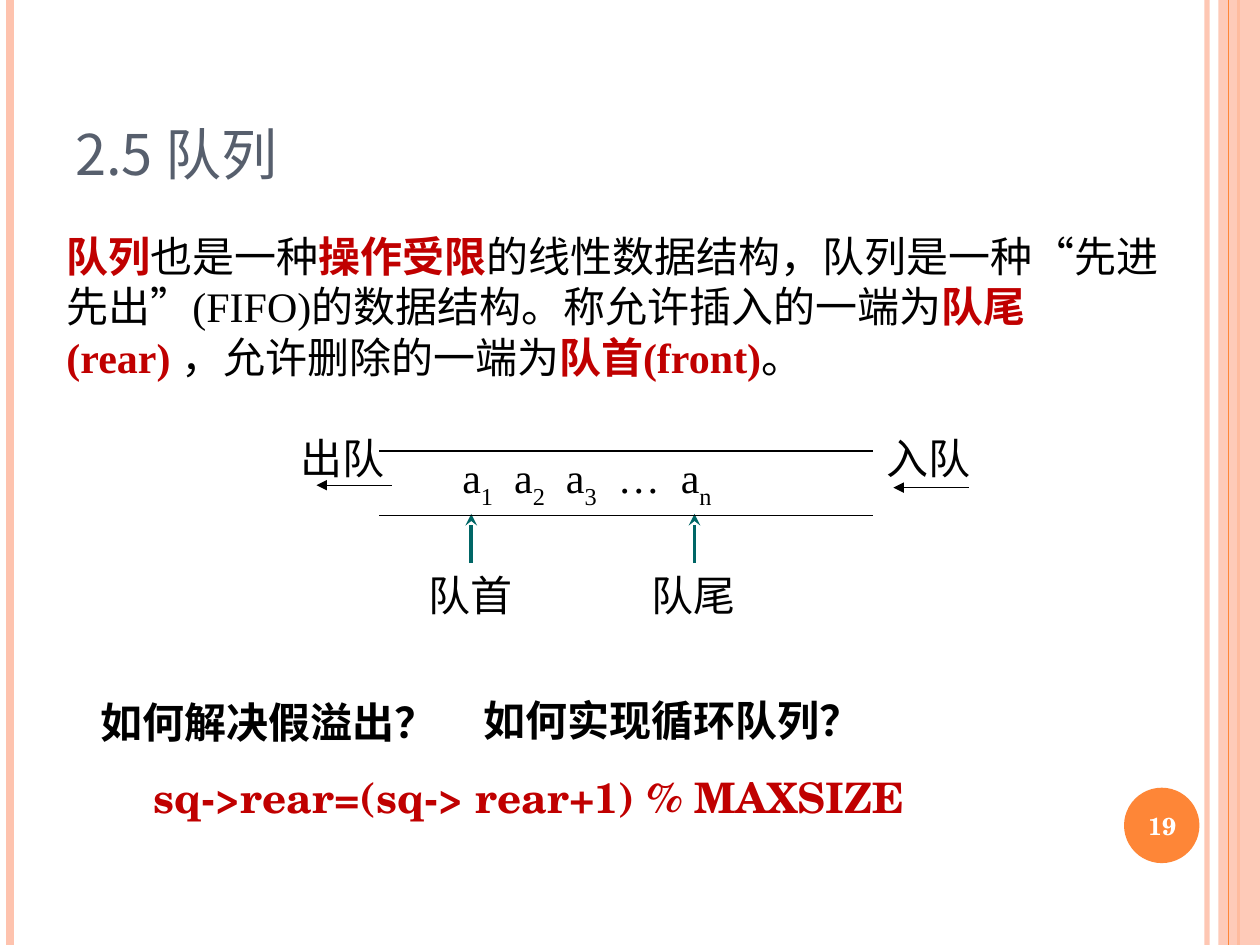
import pptx
import pptx.dml.color
import pptx.enum.shapes
import pptx.enum.text
import pptx.oxml
import pptx.oxml.ns
import pptx.util
from lxml import etree

Cm = pptx.util.Cm
Pt = pptx.util.Pt
qn = pptx.oxml.ns.qn
ANCHOR = pptx.enum.text.MSO_ANCHOR
SHAPE = pptx.enum.shapes.MSO_SHAPE

COLORS = {"peach": "FEC3AE", "orange": "FE8637", "slate": "575F6D",
          "white": "FFFFFF", "black": "000000", "red": "C00000", "teal": "006666"}
SANS, SERIF, SCHOLA = "Noto Sans CJK SC", "Times New Roman", "TeX Gyre Schola"
WIDTH, HEIGHT = 25.4, 19.05


def rgb(name):
    return pptx.dml.color.RGBColor.from_string(COLORS[name])


def set_alpha(part, percent):
    for color in part.iter(qn("a:srgbClr")):
        etree.SubElement(color, qn("a:alpha")).set("val", str(percent * 1000))


def add_line(page, start, end, color="black", width=0.75, arrow=None, alpha=None):
    line = page.shapes.add_connector(pptx.enum.shapes.MSO_CONNECTOR.STRAIGHT,
                                     *map(Cm, start + end))
    line.line.color.rgb = rgb(color)
    line.line.width = Pt(width)
    properties = line._element.spPr
    if alpha:
        set_alpha(properties, alpha)
    if arrow:
        etree.SubElement(line.line._get_or_add_ln(), qn("a:tailEnd")).set("type", arrow)
    etree.SubElement(properties, qn("a:effectLst"))


def add_block(page, kind, box, color, alpha=None):
    block = page.shapes.add_shape(kind, *map(Cm, box))
    block.shadow.inherit = False
    block.fill.solid()
    block.fill.fore_color.rgb = rgb(color)
    block.line.fill.background()
    if alpha:
        set_alpha(block._element.spPr, alpha)


def add_text(page, box, spans, font=SERIF, size=24, color="black", bold=False,
             anchor=ANCHOR.TOP, align=None, wrap=True):
    """Spans are (text, changed formats) pairs; baseline and cap are run attributes."""
    frame = page.shapes.add_textbox(*map(Cm, box)).text_frame
    for name, value in {"word_wrap": wrap, "vertical_anchor": anchor}.items():
        setattr(frame, name, value)
    para = frame.paragraphs[0]
    para.alignment = align
    for text, changes in spans:
        span = para.add_run()
        span.text = text
        formats = {"name": font, "size": Pt(size), "bold": changes.get("bold", bold)}
        for name, value in formats.items():
            setattr(span.font, name, value)
        span.font.color.rgb = rgb(changes.get("color", color))
        properties = span._r.get_or_add_rPr()
        etree.SubElement(properties, qn("a:ea")).set("typeface", SANS)
        for name in ("baseline", "cap"):
            if name in changes:
                properties.set(name, changes[name])


def add_frame(page, left, top, width, height):
    # Vertical rules and the band on the right
    def rule(x, color, weight, alpha=None):
        add_line(page, (left + x, top), (left + x, top + height), color, weight, alpha=alpha)

    rule(width - 1.07, "peach", 3, 93)
    rule(0.2, "peach", 4.5)
    rule(width - 0.43, "orange", 1.5)
    add_block(page, SHAPE.RECTANGLE, (left + width - 0.84, top, 0.84, height), "peach", 87)
    rule(width - 0.64, "orange", 0.75)


def add_page_number(page, left, top, size, number):
    add_block(page, SHAPE.OVAL, (left, top, size, size), "orange")
    add_text(page, (left - 0.08, top + 0.04, size + 0.18, size - 0.08), [(number, {})],
             SCHOLA, 14, "white", True, ANCHOR.MIDDLE, pptx.enum.text.PP_ALIGN.CENTER)


def add_title(page, *box):
    add_text(page, box, [("2.5 队列", {"cap": "small"})], SANS, 40, "slate",
             anchor=ANCHOR.BOTTOM)


def add_definition(page, *box):
    key = {"color": "red", "bold": True}
    add_text(page, box, [
        ("队列", key), ("也是一种", {}), ("操作受限", key),
        ("的线性数据结构，队列是一种“先进先出”(FIFO)的数据结构。称允许插入的一端为", {}),
        ("队尾(rear) ", key), ("，允许删除的一端为", {}), ("队首(front)", key), ("。", {})])


def add_queue(page, left, top):
    # Pointers to the first and last items
    for x, label in ((8.2, "队尾"), (3.7, "队首")):
        add_line(page, (left + x, top + 2.75), (left + x, top + 1.76),
                 "teal", 2.25, "stealth")
        add_text(page, (left + x - 1.12, top + 2.75, 2.22, 1.27), [(label, {})],
                 SCHOLA, wrap=False)

    # Queue walls and items
    for y in (0.49, 1.79):
        add_line(page, (left + 1.85, top + y), (left + 11.8, top + y))
    items = (("a", "1"), ("  a", "2"), ("  a", "3"), ("  …  a", "n"))
    spans = [span for name, index in items
             for span in ((name, {}), (index, {"baseline": "-30000"}))]
    add_text(page, (left + 3.27, top + 0.37, 7.34, 1.47), spans)

    # Moves in and out
    for x, label, tip, y in ((11.83, "入队", 12.21, 1.23), (0, "出队", 0.58, 1.18)):
        add_line(page, (left + tip + 1.52, top + y), (left + tip, top + y), arrow="triangle")
        add_text(page, (left + x, top, 2.77, 1.27), [(label, {})], SCHOLA)


def add_questions(page, left, top):
    add_text(page, (left, top + 0.05, 16.76, 1.27), [("如何解决假溢出？", {})], bold=True)
    add_text(page, (left + 7.72, top, 8.53, 1.27), [("如何实现循环队列？", {})], bold=True)
    add_text(page, (left + 1.06, top + 1.55, 16.69, 1.27),
             [("sq->rear=(sq-> rear+1) % MAXSIZE", {})], SCHOLA, color="red", bold=True)


def main():
    deck = pptx.Presentation()
    deck.slide_width, deck.slide_height = Cm(WIDTH), Cm(HEIGHT)
    page = deck.slides.add_slide(deck.slide_layouts[6])
    add_frame(page, 0, 0, WIDTH, HEIGHT)
    add_page_number(page, 22.66, 15.88, 1.52, "19")
    add_title(page, 1.27, 0.76, 20.75, 3.18)
    add_definition(page, 1.09, 4.52, 22.61, 3.33)
    add_queue(page, 5.8, 8.6)
    add_questions(page, 1.78, 13.87)
    deck.save("out.pptx")


if __name__ == "__main__":
    main()
